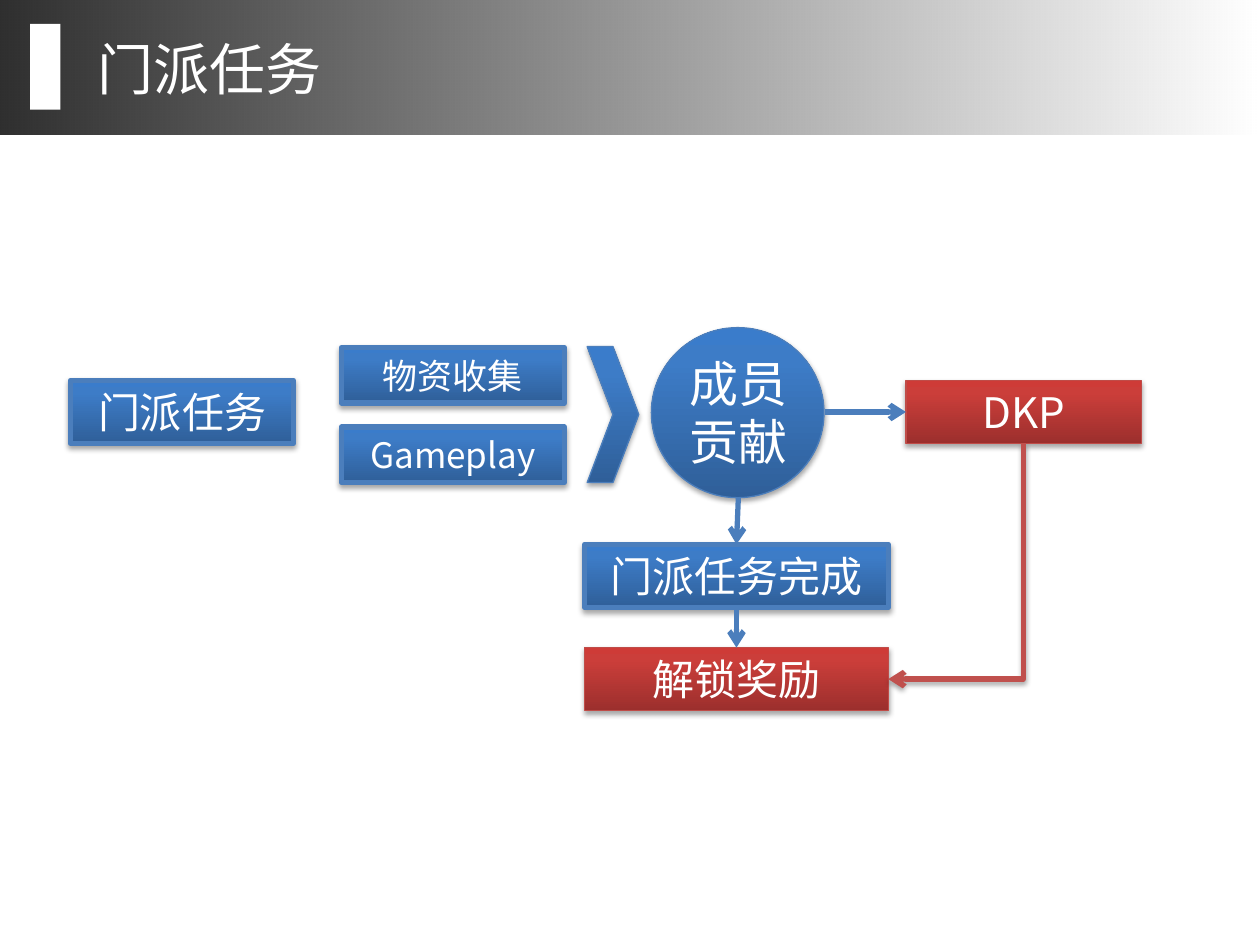
"""Build the sect quest flow slide."""
from dataclasses import dataclass

import pptx
import pptx.dml.color
import pptx.enum.shapes
import pptx.enum.text
import pptx.oxml
import pptx.oxml.ns
import pptx.util
from pptx.util import Inches

FONT = "Noto Sans CJK SC"
NAMESPACE = 'xmlns:a="http://schemas.openxmlformats.org/drawingml/2006/main"'
SHAPE = pptx.enum.shapes.MSO_SHAPE
CONNECTOR = pptx.enum.shapes.MSO_CONNECTOR
ALIGN = pptx.enum.text.PP_ALIGN
TOP, BOTTOM, LEFT, RIGHT = 0, 2, 1, 3


@dataclass(frozen=True)
class Theme:
    stops: tuple
    outline: str


@dataclass(frozen=True)
class Step:
    text: str
    left: float
    top: float
    width: float
    height: float
    size: int
    theme: Theme
    outline_width: float


BLUE = Theme(((0, "2F5F99", 100), (80, "3D7CC7", 100), (100, "3A7CCB", 100)), "4B7EBC")
RED = Theme(((0, "9C2F2D", 100), (80, "CB3E3A", 100), (100, "CE3B37", 100)), "BF4C48")
HEADER_STOPS = ((0, "000000", 82), (100, "000000", 0))
RED_ARROW = "C0504D"

QUEST = Step("门派任务", 0.56, 3.02, 1.77, 0.5, 24, BLUE, 3)
COLLECTION = Step("物资收集", 2.71, 2.76, 1.77, 0.44, 20, BLUE, 3)
GAMEPLAY = Step("Gameplay", 2.71, 3.39, 1.77, 0.44, 20, BLUE, 3)
POINTS = Step("DKP", 7.19, 3.02, 1.87, 0.5, 24, RED, 0.75)
COMPLETION = Step("门派任务完成", 4.64, 4.32, 2.41, 0.5, 24, BLUE, 3)
REWARD = Step("解锁奖励", 4.64, 5.14, 2.41, 0.5, 24, RED, 0.75)


def color(value: str):
    return pptx.dml.color.RGBColor.from_string(value)


def xml(markup: str):
    head, rest = markup.split(" ", 1)
    return pptx.oxml.parse_xml(f"{head} {NAMESPACE} {rest}")


def add_shadow(properties) -> None:
    effects = properties.find(pptx.oxml.ns.qn("a:effectLst"))
    effects.append(xml(
        '<a:outerShdw blurRad="39370" dist="22860" dir="5400000" rotWithShape="0">'
        '<a:srgbClr val="000000"><a:alpha val="35000"/></a:srgbClr></a:outerShdw>'))


def fill_gradient(shape, stops: tuple, angle: int) -> None:
    shape.fill.gradient()
    shape.fill.gradient_angle = angle
    stop_list = shape._element.spPr.find(".//" + pptx.oxml.ns.qn("a:gsLst"))
    for stop in list(stop_list):
        stop_list.remove(stop)
    for position, value, opacity in stops:
        stop_list.append(xml(
            f'<a:gs pos="{position * 1000}"><a:srgbClr val="{value}">'
            f'<a:alpha val="{opacity * 1000}"/></a:srgbClr></a:gs>'))


def add_block(slide, kind, left: float, top: float, width: float, height: float):
    block = slide.shapes.add_shape(
        kind, Inches(left), Inches(top), Inches(width), Inches(height))
    block.shadow.inherit = False
    block.line.fill.background()
    return block


def add_glossy(slide, kind, left: float, top: float, width: float, height: float,
               theme: Theme, outline_width: float):
    block = add_block(slide, kind, left, top, width, height)
    fill_gradient(block, theme.stops, 90)
    block.line.color.rgb = color(theme.outline)
    block.line.width = pptx.util.Pt(outline_width)
    add_shadow(block._element.spPr)
    return block


def write(shape, lines: list[str], size: int, alignment) -> None:
    frame = shape.text_frame
    frame.word_wrap = True
    frame.auto_size = pptx.enum.text.MSO_AUTO_SIZE.NONE
    frame.vertical_anchor = pptx.enum.text.MSO_ANCHOR.MIDDLE
    frame.text = "\n".join(lines)
    for paragraph in frame.paragraphs:
        paragraph.alignment = alignment
        paragraph.font.size = pptx.util.Pt(size)
        paragraph.font.name = FONT
        paragraph.font.color.rgb = color("FFFFFF")
        defaults = paragraph._p.pPr.find(pptx.oxml.ns.qn("a:defRPr"))
        defaults.append(xml(f'<a:ea typeface="{FONT}"/>'))


def add_step(slide, step: Step):
    box = add_glossy(slide, SHAPE.RECTANGLE, step.left, step.top, step.width,
                     step.height, step.theme, step.outline_width)
    write(box, [step.text], step.size, ALIGN.CENTER)
    return box


def add_arrow(slide, kind, start: tuple, end: tuple, value: str):
    arrow = slide.shapes.add_connector(
        kind, *(Inches(length) for length in (*start, *end)))
    arrow.line.color.rgb = color(value)
    arrow.line.width = pptx.util.Pt(3)
    arrow.line._get_or_add_ln().append(xml('<a:tailEnd type="arrow"/>'))
    arrow._element.spPr.append(xml("<a:effectLst />"))
    return arrow


def add_turn(slide, source, target) -> None:
    start, end = (8.12, 3.52), (7.05, 5.39)
    turn = add_arrow(slide, CONNECTOR.ELBOW, start, end, RED_ARROW)
    turn.begin_connect(source, BOTTOM)
    turn.end_connect(target, RIGHT)
    across, down = start[0] - end[0], end[1] - start[1]
    turn.left = Inches((start[0] + end[0] - down) / 2)
    turn.top = Inches((start[1] + end[1] - across) / 2)
    turn.width, turn.height = Inches(down), Inches(across)
    properties = turn._element.spPr
    frame = properties.find(pptx.oxml.ns.qn("a:xfrm"))
    frame.attrib.pop("flipH", None)
    frame.set("rot", "5400000")
    properties.find(pptx.oxml.ns.qn("a:prstGeom")).set("prst", "bentConnector2")
    add_shadow(properties)


def add_header(slide) -> None:
    band = add_block(slide, SHAPE.RECTANGLE, 0, 0, 10, 1.07)
    fill_gradient(band, HEADER_STOPS, 0)
    marker = add_block(slide, SHAPE.RECTANGLE, 0.24, 0.19, 0.24, 0.68)
    marker.fill.solid()
    marker.fill.fore_color.rgb = color("FFFFFF")
    title = slide.shapes.title
    title.left, title.top = Inches(0.67), Inches(0.22)
    title.width, title.height = Inches(3.62), Inches(0.64)
    write(title, ["门派任务"], 32, ALIGN.LEFT)
    marker._element.addnext(title._element)


def main() -> None:
    presentation = pptx.Presentation()
    presentation.slide_width, presentation.slide_height = Inches(10), Inches(7.5)
    slide = presentation.slides.add_slide(presentation.slide_layouts[5])
    add_header(slide)

    add_glossy(slide, SHAPE.OVAL, 5.17, 2.6, 1.37, 1.35, BLUE, 0.75)
    contribution = slide.shapes.add_textbox(
        Inches(5.07), Inches(2.75), Inches(1.58), Inches(1.04))
    write(contribution, ["成员", "贡献"], 28, ALIGN.CENTER)
    add_glossy(slide, SHAPE.CHEVRON, 4.66, 2.75, 0.41, 1.08, BLUE, 0.75)

    for source in (QUEST, COLLECTION, GAMEPLAY):
        add_step(slide, source)
    points, completion, reward = (
        add_step(slide, step) for step in (POINTS, COMPLETION, REWARD))

    to_points = add_arrow(slide, CONNECTOR.STRAIGHT, (6.55, 3.27), (7.19, 3.27), BLUE.outline)
    to_points.end_connect(points, LEFT)
    to_completion = add_arrow(
        slide, CONNECTOR.STRAIGHT, (5.86, 3.95), (5.84, 4.32), BLUE.outline)
    to_completion.end_connect(completion, TOP)
    to_reward = add_arrow(slide, CONNECTOR.STRAIGHT, (5.84, 4.83), (5.84, 5.14), BLUE.outline)
    to_reward.begin_connect(completion, BOTTOM)
    to_reward.end_connect(reward, TOP)
    add_turn(slide, points, reward)

    presentation.save("out.pptx")


if __name__ == "__main__":
    main()
